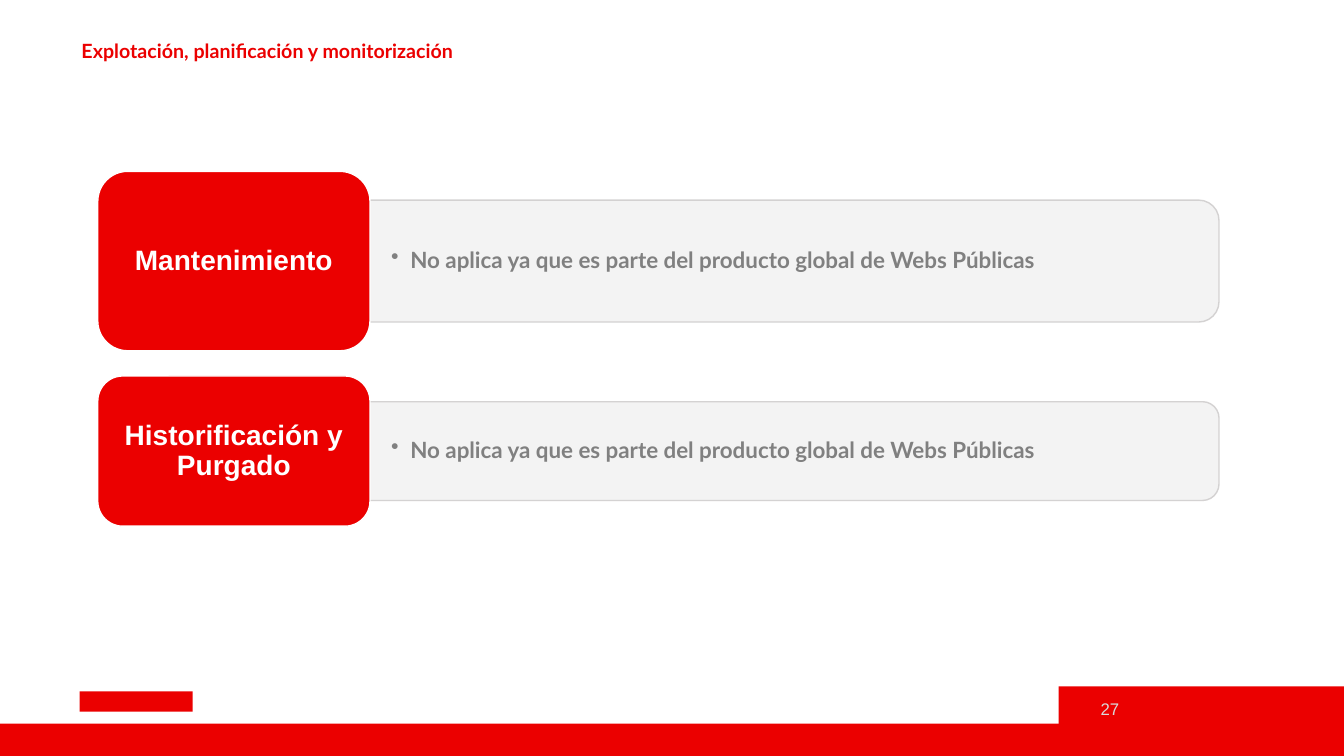
from pptx import Presentation
from pptx import util as u
from pptx.dml.color import RGBColor
from pptx.enum import shapes, text
from pptx.oxml.ns import qn
from lxml import etree

HEADING = "Explotación, planificación y monitorización"
PAGE_NUMBER = "27"
TOPICS = [
    {"label": "Mantenimiento", "top": 1.7, "height": 1.78, "panel_height": 1.21,
     "detail": "No aplica ya que es parte del producto global de Webs Públicas"},
    {"label": "Historificación y Purgado", "top": 3.73, "height": 1.49, "panel_height": 0.98,
     "detail": "No aplica ya que es parte del producto global de Webs Públicas"},
]
THEME = {
    "red": "EB0000", "white": "FFFFFF", "panel": "F2F2F2", "border": "D0CECE",
    "detail": "808080", "page": "D9D9D9",
    "heading_size": 14, "label_size": 20, "detail_size": 16, "page_size": 12,
    "heading_font": "Lato", "label_font": "Arial",
}
SLIDE_WIDTH, SLIDE_HEIGHT = 13.33, 7.5
LABEL_LEFT, LABEL_WIDTH = 0.97, 2.7
PANEL_LEFT, PANEL_WIDTH = 3.61, 8.48
FOOTER_TOP, PAGE_TAB_LEFT, PAGE_TAB_TOP = 7.18, 10.5, 6.81


def color(name):
    return RGBColor.from_string(THEME[name])


def add_block(slide, kind, left, top, width, height, fill, border=None):
    block = slide.shapes.add_shape(kind, *map(u.Inches, (left, top, width, height)))
    block.shadow.inherit = False
    block.fill.solid()
    block.fill.fore_color.rgb = color(fill)
    if border:
        block.line.color.rgb = color(border)
        block.line.width = u.Pt(1)
    else:
        block.line.fill.background()
    return block


def add_box(slide, left, top, width, height):
    return slide.shapes.add_textbox(*map(u.Inches, (left, top, width, height)))


def write(holder, words, role, font, tint, align, anchor, bold=True, insets=(0.1, 0.05), spacing=0.9):
    frame = holder.text_frame
    frame.word_wrap = True
    frame.vertical_anchor = anchor
    frame.margin_left = frame.margin_right = u.Inches(insets[0])
    frame.margin_top = frame.margin_bottom = u.Inches(insets[1])
    frame.text = words
    paragraph = frame.paragraphs[0]
    paragraph.alignment = align
    paragraph.line_spacing = spacing
    style = paragraph.runs[0].font
    style.name, style.size, style.bold = THEME[font], u.Pt(THEME[role]), bold
    style.color.rgb = color(tint)
    return paragraph


def add_bullet(paragraph, indent):
    properties = paragraph._p.get_or_add_pPr()
    properties.set("marL", str(u.Inches(indent)))
    properties.set("indent", str(-u.Inches(indent)))
    etree.SubElement(properties, qn("a:buChar")).set("char", "•")


def soften(panel, opacity):
    for tint in panel._element.spPr.iter(qn("a:srgbClr")):
        etree.SubElement(tint, qn("a:alpha")).set("val", str(opacity * 1000))


def add_topic(slide, topic):
    middle = topic["top"] + topic["height"] / 2
    depth = topic["panel_height"]
    panel = add_block(slide, shapes.MSO_SHAPE.ROUND_2_SAME_RECTANGLE,
                      PANEL_LEFT + (PANEL_WIDTH - depth) / 2, middle - PANEL_WIDTH / 2,
                      depth, PANEL_WIDTH, "panel", "border")
    panel.rotation = 90
    soften(panel, 90)
    detail = add_box(slide, PANEL_LEFT, middle - depth / 2, PANEL_WIDTH - 0.05, depth)
    add_bullet(write(detail, topic["detail"], "detail_size", "heading_font", "detail",
                     text.PP_ALIGN.LEFT, text.MSO_ANCHOR.MIDDLE, insets=(0.27, 0.14)), 0.19)
    label = add_block(slide, shapes.MSO_SHAPE.ROUNDED_RECTANGLE, LABEL_LEFT, topic["top"],
                      LABEL_WIDTH, topic["height"], "red", "white")
    write(label, topic["label"], "label_size", "label_font", "white",
          text.PP_ALIGN.CENTER, text.MSO_ANCHOR.MIDDLE)


def add_footer(slide):
    rectangle = shapes.MSO_SHAPE.RECTANGLE
    add_block(slide, rectangle, 0, FOOTER_TOP, SLIDE_WIDTH, SLIDE_HEIGHT - FOOTER_TOP, "red")
    add_block(slide, rectangle, PAGE_TAB_LEFT, PAGE_TAB_TOP,
              SLIDE_WIDTH - PAGE_TAB_LEFT, 0.39, "red")
    page = add_box(slide, PAGE_TAB_LEFT, 6.83, 0.7, 0.4)
    write(page, PAGE_NUMBER, "page_size", "label_font", "page",
          text.PP_ALIGN.RIGHT, text.MSO_ANCHOR.MIDDLE, bold=False, spacing=1.0)
    add_block(slide, rectangle, 0.79, 6.86, 1.12, 0.2, "red")


def main():
    deck = Presentation()
    deck.slide_width, deck.slide_height = u.Inches(SLIDE_WIDTH), u.Inches(SLIDE_HEIGHT)
    slide = deck.slides.add_slide(deck.slide_layouts[6])
    add_footer(slide)
    for topic in TOPICS:
        add_topic(slide, topic)
    heading = add_box(slide, 0.71, 0.36, 11.85, 0.35)
    write(heading, HEADING, "heading_size", "heading_font", "red",
          text.PP_ALIGN.LEFT, text.MSO_ANCHOR.TOP)
    deck.save("out.pptx")


if __name__ == "__main__":
    main()
